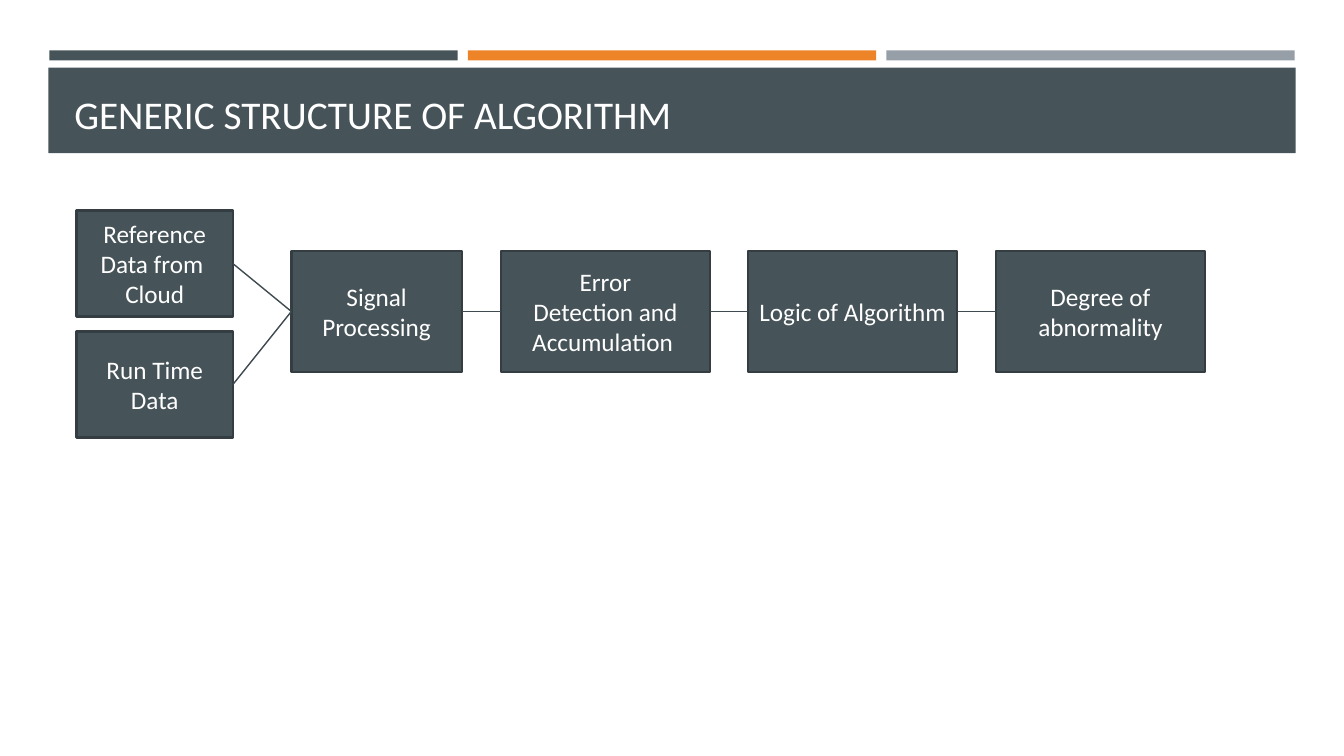
import pptx
import pptx.dml.color
import pptx.enum.shapes
import pptx.enum.text
import pptx.oxml.ns
import pptx.util
from lxml import etree

EMU_PER_PX = 9144  # 100 px to the inch
FONT = "Calibri"
COLORS = {
    "slate": "465359",
    "orange": "ED8428",
    "gray": "969FA7",
    "outline": "343D42",
    "connector": "3F4B50",
    "text": "FFFFFF",
}
RIGHT_SIDE, LEFT_SIDE = 3, 1


def px(length):
    return pptx.util.Emu(length * EMU_PER_PX)


def color(name):
    return pptx.dml.color.RGBColor.from_string(COLORS[name])


def add_bar(slide, left, top, width, height, fill):
    shape = slide.shapes.add_shape(
        pptx.enum.shapes.MSO_SHAPE.RECTANGLE, px(left), px(top), px(width), px(height)
    )
    shape.shadow.inherit = False
    shape.fill.solid()
    shape.fill.fore_color.rgb = color(fill)
    shape.line.fill.background()
    return shape


def write_text(shape, text, size, alignment, anchor):
    frame = shape.text_frame
    frame.word_wrap = True
    frame.vertical_anchor = anchor
    frame.text = text
    for paragraph in frame.paragraphs:
        paragraph.alignment = alignment
        for run in paragraph.runs:
            run.font.name = FONT
            run.font.size = pptx.util.Pt(size)
            run.font.color.rgb = color("text")


def add_title(slide, text):
    title = slide.shapes.add_textbox(px(64), px(77), px(1206), px(64))
    write_text(title, text, 28, pptx.enum.text.PP_ALIGN.LEFT,
               pptx.enum.text.MSO_ANCHOR.BOTTOM)


def add_step(slide, left, top, width, height, text):
    """Add one outlined box of the flow."""
    step = add_bar(slide, left, top, width, height, "slate")
    step.line.color.rgb = color("outline")
    step.line.width = pptx.util.Pt(1.75)
    write_text(step, text, 18, pptx.enum.text.PP_ALIGN.CENTER,
               pptx.enum.text.MSO_ANCHOR.MIDDLE)
    return step


def join_steps(slide, source, target):
    """Draw a line from the right side of source to the left side of target."""
    connector = slide.shapes.add_connector(
        pptx.enum.shapes.MSO_CONNECTOR.STRAIGHT, 0, 0, 0, 0
    )
    connector.begin_connect(source, RIGHT_SIDE)
    connector.end_connect(target, LEFT_SIDE)
    connector.line.color.rgb = color("connector")
    connector.line.width = pptx.util.Pt(1)
    properties = connector._element.spPr
    etree.SubElement(properties, pptx.oxml.ns.qn("a:effectLst"))


def main():
    presentation = pptx.Presentation()
    presentation.slide_width = px(1333)
    presentation.slide_height = px(750)
    slide = presentation.slides.add_slide(presentation.slide_layouts[6])

    for index, fill in enumerate(("slate", "orange", "gray")):
        add_bar(slide, 49 + index * 415, 50, 405, 10, fill)
    add_bar(slide, 48, 67, 1237, 85, "slate")
    add_title(slide, "GENERIC STRUCTURE OF ALGORITHM")

    inputs = [
        add_step(slide, 76, 209 + index * 120, 155, 105, text)
        for index, text in enumerate(("Reference Data from \nCloud", "Run Time Data"))
    ]
    stages = [
        add_step(slide, left, 249, width, 120, text)
        for left, width, text in (
            (289, 169, "Signal Processing"),
            (497, 207, "Error\nDetection and\nAccumulation "),
            (742, 207, "Logic of Algorithm "),
            (988, 207, "Degree of abnormality"),
        )
    ]

    for source in inputs:
        join_steps(slide, source, stages[0])
    for source, target in zip(stages, stages[1:]):
        join_steps(slide, source, target)

    presentation.save("out.pptx")


if __name__ == "__main__":
    main()
